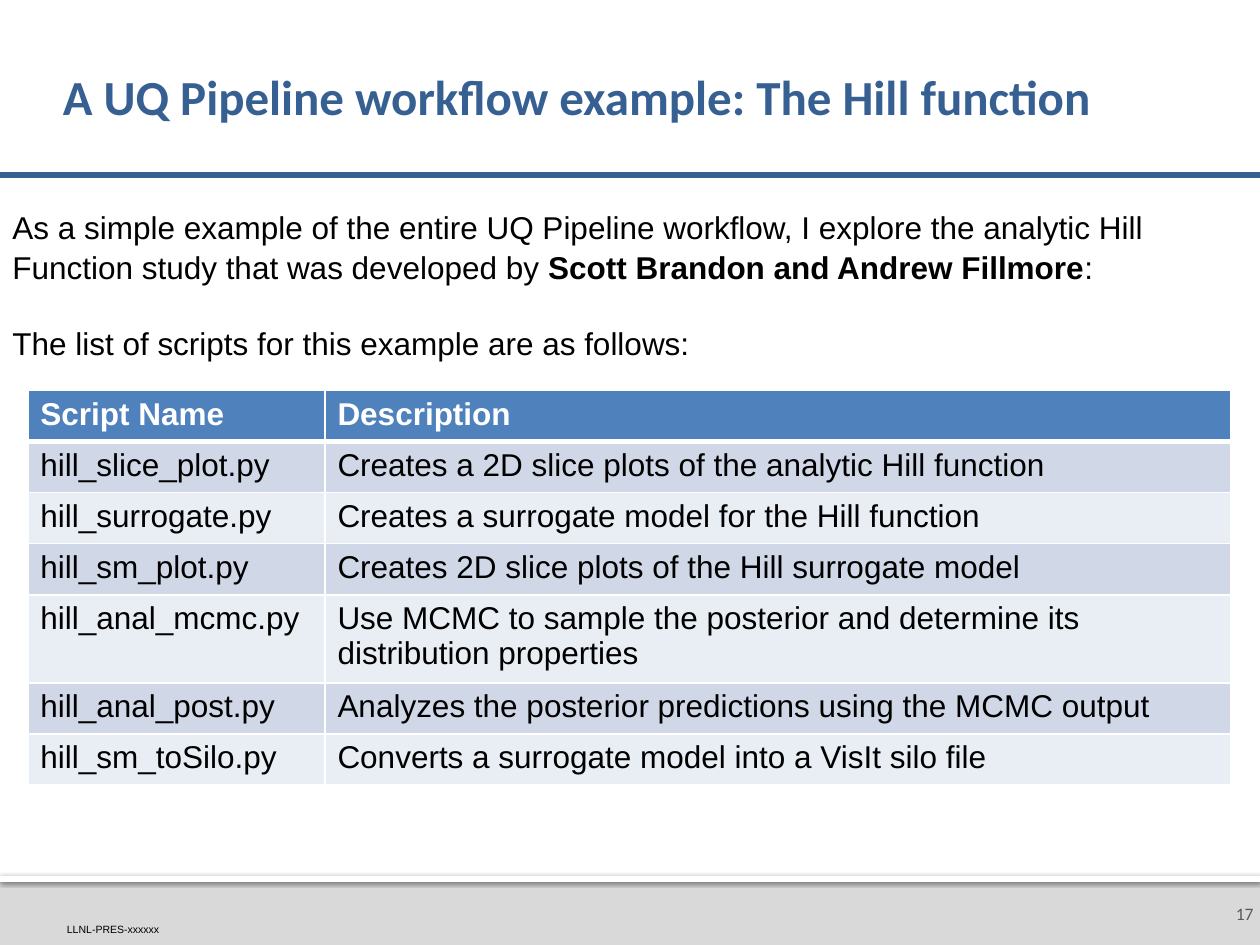
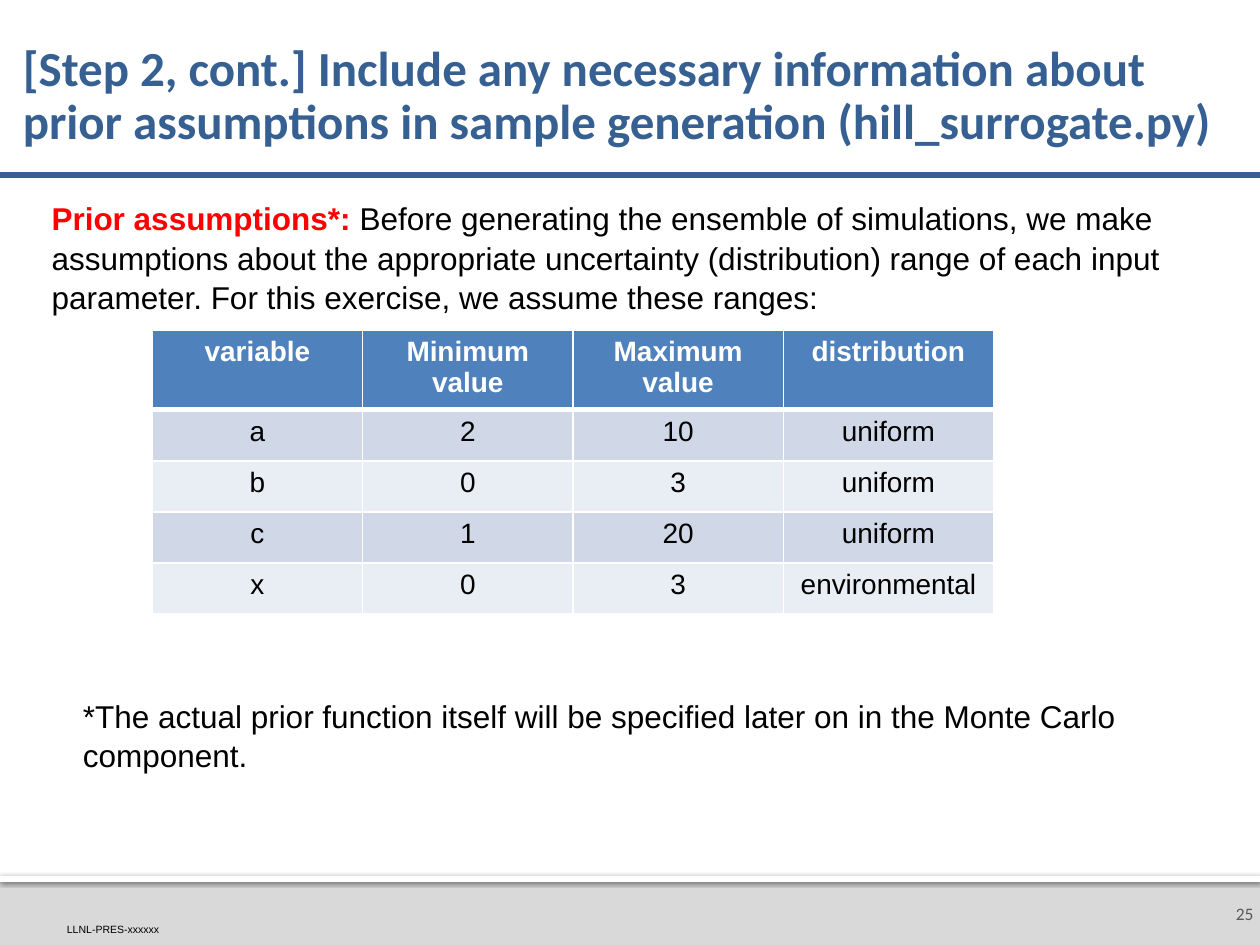
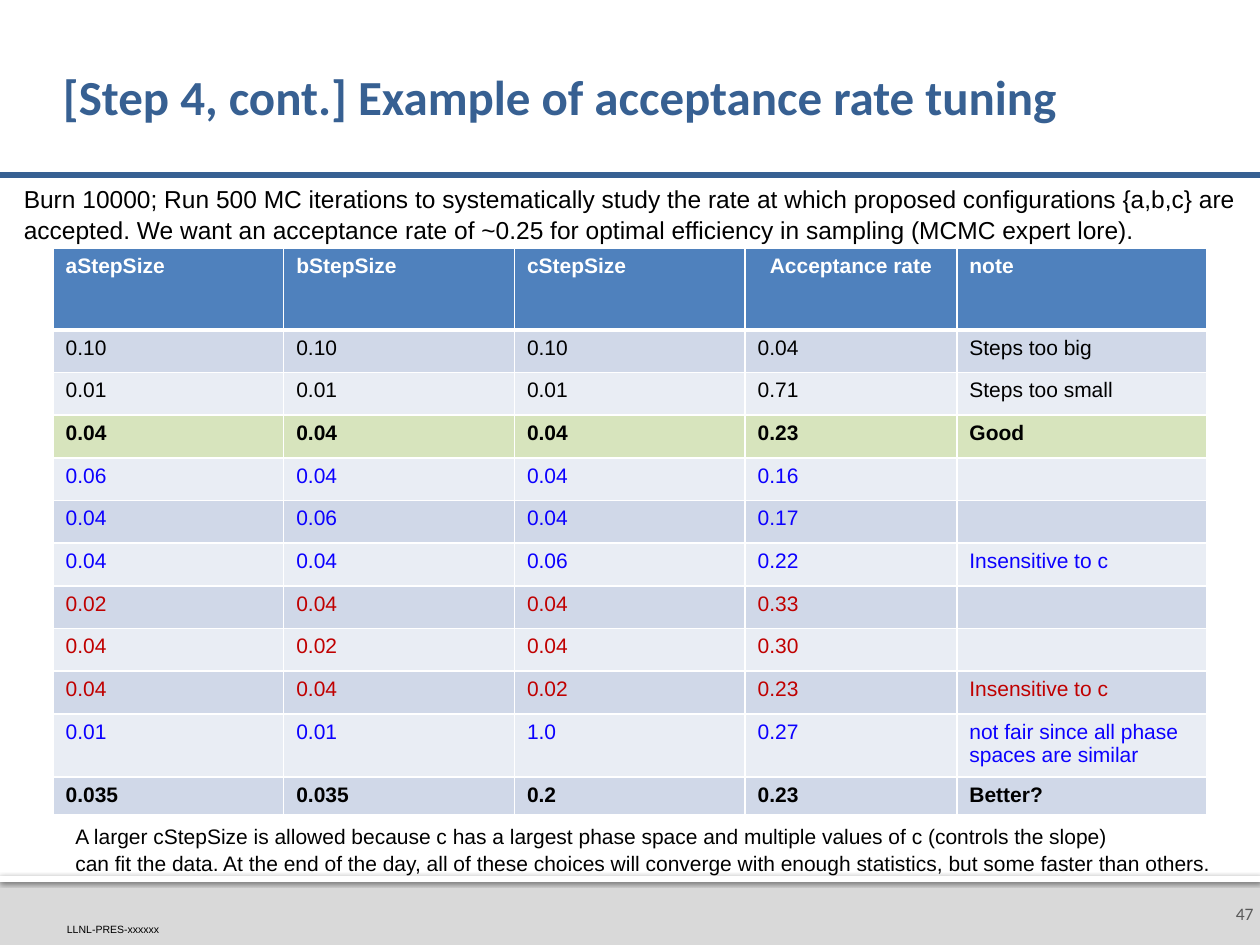
from lxml.etree import SubElement
from pptx import Presentation
from pptx.dml.color import RGBColor
from pptx.enum.shapes import MSO_CONNECTOR as CONN, MSO_SHAPE as SHAPE
from pptx.enum.text import MSO_ANCHOR as ANCHOR, MSO_AUTO_SIZE as AUTO, PP_ALIGN as ALIGN
from pptx.oxml.ns import qn
from pptx.util import Cm, Pt

WHITE = RGBColor(0xFF, 0xFF, 0xFF)
BLACK = RGBColor(0x00, 0x00, 0x00)
NAVY = RGBColor(0x37, 0x60, 0x92)
HEADER = RGBColor(0x4F, 0x81, 0xBD)
BAND_DARK = RGBColor(0xD0, 0xD8, 0xE8)
BAND_LIGHT = RGBColor(0xE9, 0xED, 0xF4)
GREEN = RGBColor(0xD7, 0xE4, 0xBD)
FOOTER = RGBColor(0xD9, 0xD9, 0xD9)
GREY = RGBColor(0x59, 0x59, 0x59)
RED = RGBColor(0xFF, 0x00, 0x00)
DARK_RED = RGBColor(0xC0, 0x00, 0x00)
BLUE = RGBColor(0x0B, 0x00, 0xFF)

WIDTH = 25.4
HEIGHT = 19.05
FOOTER_TOP = 17.65
TITLE_BOX = (1.27, 0.61, 22.86, 2.79)


def add_run(p, text, size, color=BLACK, bold=False, font="Arial"):
    r = p.add_run()
    r.text = text
    r.font.name = font
    r.font.size = Pt(size)
    r.font.bold = bold
    r.font.color.rgb = color


def add_box(slide, box, insets=(0.25, 0.13, 0.25, 0.13), anchor=ANCHOR.TOP):
    tf = slide.shapes.add_textbox(*map(Cm, box)).text_frame
    tf.margin_left, tf.margin_top, tf.margin_right, tf.margin_bottom = map(Cm, insets)
    tf.vertical_anchor = anchor
    tf.word_wrap = True
    return tf


def add_body(slide, box, size, lines):
    tf = add_box(slide, box)
    tf.word_wrap = False
    tf.auto_size = AUTO.SHAPE_TO_FIT_TEXT
    for i, line in enumerate(lines):
        p = tf.add_paragraph() if i else tf.paragraphs[0]
        p.line_spacing = 1.04
        for text, color, bold in [(line, BLACK, False)] if isinstance(line, str) else line:
            add_run(p, text, size, color, bold)
    return tf


def add_band(slide, height, color):
    sp = slide.shapes.add_shape(SHAPE.RECTANGLE, 0, Cm(FOOTER_TOP), Cm(WIDTH), Cm(height))
    sp.fill.solid()
    sp.fill.fore_color.rgb = color
    sp.line.fill.background()
    sp.shadow.inherit = False
    return sp


def add_shadow(sp):
    effects = sp._element.spPr.find(qn("a:effectLst"))
    shadow = SubElement(effects, qn("a:outerShdw"), blurRad=str(Pt(2.5)), dist=str(Pt(0.8)),
                        dir="5400000", algn="t", rotWithShape="0")
    color = SubElement(shadow, qn("a:srgbClr"), val=str(BLACK))
    SubElement(color, qn("a:alpha"), val="60000")


def add_base(prs, title, number, title_box=TITLE_BOX):
    slide = prs.slides.add_slide(prs.slide_layouts[6])
    add_band(slide, HEIGHT - FOOTER_TOP, FOOTER)
    add_shadow(add_band(slide, 0.13, WHITE))

    tf = add_box(slide, (1.35, 18.62, 2.44, 0.25), (0, 0, 0, 0), ANCHOR.BOTTOM)
    add_run(tf.paragraphs[0], "LLNL-PRES-xxxxxx", 6)

    tf = add_box(slide, (24.51, 17.78, 0.89, 1.27), (0.25, 0.13, 0.13, 0.13), ANCHOR.MIDDLE)
    tf.paragraphs[0].alignment = ALIGN.RIGHT
    add_run(tf.paragraphs[0], str(number), 10, GREY, font="Calibri")

    rule = slide.shapes.add_connector(CONN.STRAIGHT, Cm(-0.03), Cm(3.53), Cm(WIDTH), Cm(3.53))
    rule.line.color.rgb = NAVY
    rule.line.width = Pt(3)
    SubElement(rule._element.spPr, qn("a:effectLst"))

    tf = add_box(slide, title_box, (0, 0.13, 0.13, 0.13), ANCHOR.MIDDLE)
    tf.paragraphs[0].line_spacing = 0.9
    add_run(tf.paragraphs[0], title, 28, NAVY, True, "Calibri")
    return slide


def style_cell(cell, fill, bottom):
    tcPr = cell._tc.get_or_add_tcPr()
    for side, width in (("L", 1), ("R", 1), ("T", 1), ("B", bottom)):
        ln = SubElement(tcPr, qn(f"a:ln{side}"), w=str(Pt(width)))
        SubElement(SubElement(ln, qn("a:solidFill")), qn("a:srgbClr"), val=str(WHITE))
    cell.fill.solid()
    cell.fill.fore_color.rgb = fill


def fill_cell(cell, text, size, color, bold, align):
    tf = cell.text_frame
    for i, line in enumerate(text.split("\n")):
        p = tf.add_paragraph() if i else tf.paragraphs[0]
        p.alignment = align
        if line:
            add_run(p, line, size, color, bold)
        else:
            SubElement(p._p, qn("a:endParaRPr"), sz=str(size * 100))


def add_grid(slide, left, top, widths, heights, rows, size, align=ALIGN.LEFT, styles=None):
    frame = slide.shapes.add_table(len(rows), len(widths), Cm(left), Cm(top),
                                   Cm(sum(widths)), Cm(sum(heights)))
    table = frame.table
    for col, width in zip(table.columns, widths):
        col.width = Cm(width)
    for i, (texts, height) in enumerate(zip(rows, heights)):
        table.rows[i].height = Cm(height)
        band = BAND_DARK if i % 2 else BAND_LIGHT
        color, bold, fill = (styles or {}).get(i, (BLACK, False, band))
        if i == 0:
            color, bold, fill = WHITE, True, HEADER
        for j, text in enumerate(texts):
            cell = table.cell(i, j)
            style_cell(cell, fill or band, 1 if i else 3)
            fill_cell(cell, text, size, color, bold, align)
    return table


def add_scripts_slide(prs):
    slide = add_base(prs, "A UQ Pipeline workflow example: The Hill function", 17)
    tf = add_body(slide, (0, 4.04, 23.7, 4.11), 18, [
        "As a simple example of the entire UQ Pipeline workflow, I explore the analytic Hill",
        [("Function study that was developed by ", BLACK, False),
         ("Scott Brandon and Andrew Fillmore", BLACK, True), (":", BLACK, False)],
        "The list of scripts for this example are as follows:",
    ])
    tf.paragraphs[2].space_before = Pt(21.5)
    rows = [
        ("Script Name", "Description"),
        ("hill_slice_plot.py", "Creates a 2D slice plots of the analytic Hill function"),
        ("hill_surrogate.py", "Creates a surrogate model for the Hill function"),
        ("hill_sm_plot.py", "Creates 2D slice plots of the Hill surrogate model"),
        ("hill_anal_mcmc.py",
         "Use MCMC to sample the posterior and determine its distribution properties"),
        ("hill_anal_post.py", "Analyzes the posterior predictions using the MCMC output"),
        ("hill_sm_toSilo.py", "Converts a surrogate model into a VisIt silo file"),
    ]
    add_grid(slide, 0.56, 7.87, [5.99, 18.26], [1.03] * len(rows), rows, 18)


def add_priors_slide(prs):
    slide = add_base(prs, "[Step 2, cont.] Include any necessary information about prior "
                     "assumptions in sample generation (hill_surrogate.py)", 25,
                     (0.46, 0.56, 24.31, 2.79))
    add_body(slide, (0.79, 3.86, 23.98, 2.57), 18, [
        [("Prior assumptions*: ", RED, True),
         ("Before generating the ensemble of simulations, we make", BLACK, False)],
        "assumptions about the appropriate uncertainty (distribution) range of each input",
        "parameter. For this exercise, we assume these ranges:",
    ])
    rows = [
        ("variable", "Minimum value", "Maximum value", "distribution"),
        ("a", "2", "10", "uniform"),
        ("b", "0", "3", "uniform"),
        ("c", "1", "20", "uniform"),
        ("x", "0", "3", "environmental"),
    ]
    add_grid(slide, 3.07, 6.65, [4.24] * 4, [1.03] * len(rows), rows, 16, ALIGN.CENTER)
    add_body(slide, (1.42, 13.89, 21.54, 1.8), 18, [
        "*The actual prior function itself will be specified later on in the Monte Carlo",
        "component.",
    ])


def add_tuning_slide(prs):
    slide = add_base(prs, "[Step 4, cont.] Example of acceptance rate tuning", 47)
    rows = [
        ("aStepSize", "bStepSize", "cStepSize", "Acceptance rate", "note"),
        ("0.10", "0.10", "0.10", "0.04", "Steps too big"),
        ("0.01", "0.01", "0.01", "0.71", "Steps too small"),
        ("0.04", "0.04", "0.04", "0.23", "Good"),
        ("0.06", "0.04", "0.04", "0.16", ""),
        ("0.04", "0.06", "0.04", "0.17", ""),
        ("0.04", "0.04", "0.06", "0.22", "Insensitive to c"),
        ("0.02", "0.04", "0.04", "0.33", ""),
        ("0.04", "0.02", "0.04", "0.30", ""),
        ("0.04", "0.04", "0.02", "0.23", "Insensitive to c"),
        ("0.01", "0.01", "1.0", "0.27", "not fair since all phase\nspaces are similar"),
        ("0.035", "0.035", "0.2", "0.23", "Better?"),
    ]
    larger, smaller = (BLUE, False, None), (DARK_RED, False, None)
    styles = {3: (BLACK, True, GREEN), 10: larger, 11: (BLACK, True, None)}
    styles.update({i: larger for i in (4, 5, 6)})
    styles.update({i: smaller for i in (7, 8, 9)})
    heights = [1.65] + [0.86] * 9 + [0.91, 0.53]
    table = add_grid(slide, 1.07, 5, [4.65] * 3 + [4.27, 5.03], heights, rows, 12, styles=styles)
    table.cell(0, 3).text_frame.paragraphs[0].alignment = ALIGN.CENTER
    add_body(slide, (0.23, 3.56, 25.2, 1.45), 14, [
        "Burn 10000; Run 500 MC iterations to systematically study the rate at which "
        "proposed configurations {a,b,c} are",
        "accepted. We want an acceptance rate of ~0.25 for optimal efficiency in sampling "
        "(MCMC expert lore).",
    ])
    add_body(slide, (1.27, 16.46, 23.5, 1.27), 12, [
        "A larger cStepSize is allowed because c has a largest phase space and multiple "
        "values of c (controls the slope)",
        "can fit the data. At the end of the day, all of these choices will converge with "
        "enough statistics, but some faster than others.",
    ])


def main():
    prs = Presentation()
    prs.slide_width = Cm(WIDTH)
    prs.slide_height = Cm(HEIGHT)
    add_scripts_slide(prs)
    add_priors_slide(prs)
    add_tuning_slide(prs)
    prs.save("out.pptx")


if __name__ == "__main__":
    main()
